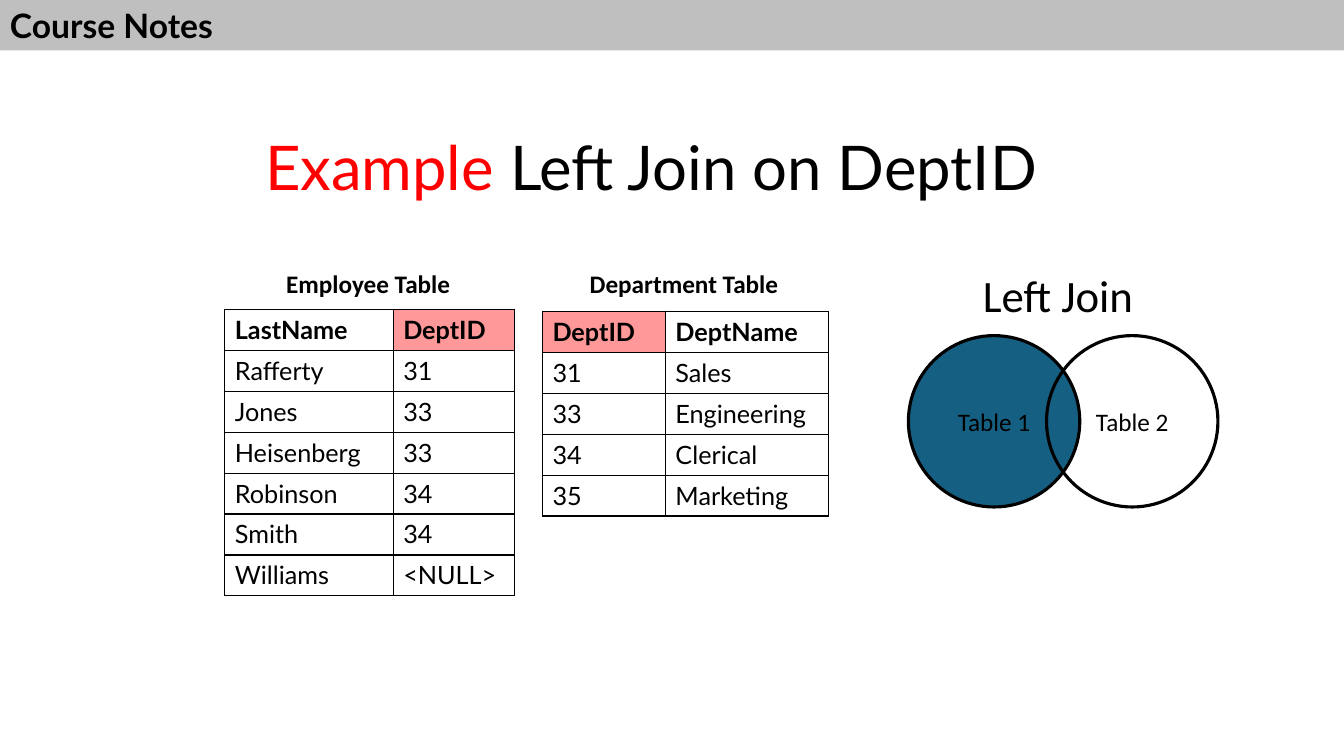
from lxml import etree
from pptx import Presentation
from pptx.dml.color import RGBColor
from pptx.enum.shapes import MSO_SHAPE
from pptx.enum.text import MSO_ANCHOR, PP_ALIGN
from pptx.oxml.ns import qn
from pptx.util import Inches, Pt

OVAL, RECT = MSO_SHAPE.OVAL, MSO_SHAPE.RECTANGLE
TOP, MIDDLE = MSO_ANCHOR.TOP, MSO_ANCHOR.MIDDLE
LEFT, CENTER = PP_ALIGN.LEFT, PP_ALIGN.CENTER

COLORS = {
    "black": "000000",
    "red": "FF0000",
    "key": "FF9999",
    "blue": "156082",
    "gray": "BFBFBF",
}
ROW_HEIGHT = 0.406
EMPLOYEES = [
    ("LastName", "DeptID"),
    ("Rafferty", "31"),
    ("Jones", "33"),
    ("Heisenberg", "33"),
    ("Robinson", "34"),
    ("Smith", "34"),
    ("Williams", "<NULL>"),
]
DEPARTMENTS = [
    ("DeptID", "DeptName"),
    ("31", "Sales"),
    ("33", "Engineering"),
    ("34", "Clerical"),
    ("35", "Marketing"),
]


def rgb(name):
    return RGBColor.from_string(COLORS[name])


def write(p, text, size=18, font="Calibri", color="black", bold=False, align=LEFT):
    p.alignment = align
    r = p.add_run()
    r.text = text
    r.font.size = Pt(size)
    r.font.name = font
    r.font.bold = bold
    r.font.color.rgb = rgb(color)


def add_box(s, x, y, w, h, anchor=TOP):
    tf = s.shapes.add_textbox(Inches(x), Inches(y), Inches(w), Inches(h)).text_frame
    tf.word_wrap = True
    tf.vertical_anchor = anchor
    return tf.paragraphs[0]


def add_shape(s, kind, x, y, w, h, fill=None, line=None):
    sp = s.shapes.add_shape(kind, Inches(x), Inches(y), Inches(w), Inches(h))
    sp.shadow.inherit = False
    if fill:
        sp.fill.solid()
        sp.fill.fore_color.rgb = rgb(fill)
    else:
        sp.fill.background()
    if line:
        sp.line.color.rgb = rgb(line)
        sp.line.width = Pt(2.25)
    else:
        sp.line.fill.background()
    sp.text_frame.vertical_anchor = MIDDLE
    return sp.text_frame.paragraphs[0]


def set_borders(cell, color="black", width=1):
    tcPr = cell._tc.get_or_add_tcPr()
    for i, side in enumerate(("a:lnL", "a:lnR", "a:lnT", "a:lnB")):
        ln = etree.Element(qn(side), w=str(Pt(width)))
        fill = etree.SubElement(ln, qn("a:solidFill"))
        etree.SubElement(fill, qn("a:srgbClr"), val=COLORS[color])
        tcPr.insert(i, ln)


def add_table(s, x, y, widths, rows):
    table = s.shapes.add_table(
        len(rows), len(widths), Inches(x), Inches(y),
        Inches(sum(widths)), Inches(ROW_HEIGHT * len(rows)),
    ).table
    table.first_row = False
    table.horz_banding = False
    for column, width in zip(table.columns, widths):
        column.width = Inches(width)
    for i, row in enumerate(rows):
        table.rows[i].height = Inches(ROW_HEIGHT)
        for j, text in enumerate(row):
            cell = table.cell(i, j)
            if text == "DeptID":
                cell.fill.solid()
                cell.fill.fore_color.rgb = rgb("key")
            else:
                cell.fill.background()
            set_borders(cell)
            write(cell.text_frame.paragraphs[0], text, font="Lato", bold=i == 0)


def main():
    prs = Presentation()
    prs.slide_width, prs.slide_height = Inches(13.33), Inches(7.5)
    s = prs.slides.add_slide(prs.slide_layouts[6])

    title = add_box(s, 2.53, 0.97, 8.62, 1.45, anchor=MIDDLE)
    title.line_spacing = 0.9
    write(title, "Example ", size=44, font="Lato", color="red")
    write(title, "Left Join on DeptID", size=44, font="Lato")

    add_table(s, 2.23, 3.07, (1.67, 1.2), EMPLOYEES)
    add_table(s, 5.38, 3.09, (1.22, 1.62), DEPARTMENTS)
    write(add_box(s, 2.74, 2.61, 1.84, 0.4), "Employee Table", bold=True)
    write(add_box(s, 5.75, 2.61, 2.09, 0.4), "Department Table", bold=True)

    for x, fill, label in ((9.01, "blue", "Table 1"), (10.38, None, "Table 2")):
        p = add_shape(s, OVAL, x, 3.33, 1.7, 1.7, fill=fill, line="black")
        write(p, label, align=CENTER)
    write(add_box(s, 9.65, 2.61, 1.72, 0.64), "Left Join", size=32)

    header = add_shape(s, RECT, 0, 0, 13.33, 0.5, fill="gray")
    write(header, "Course Notes", size=24, font="Lato", bold=True)

    prs.save("out.pptx")


if __name__ == "__main__":
    main()
